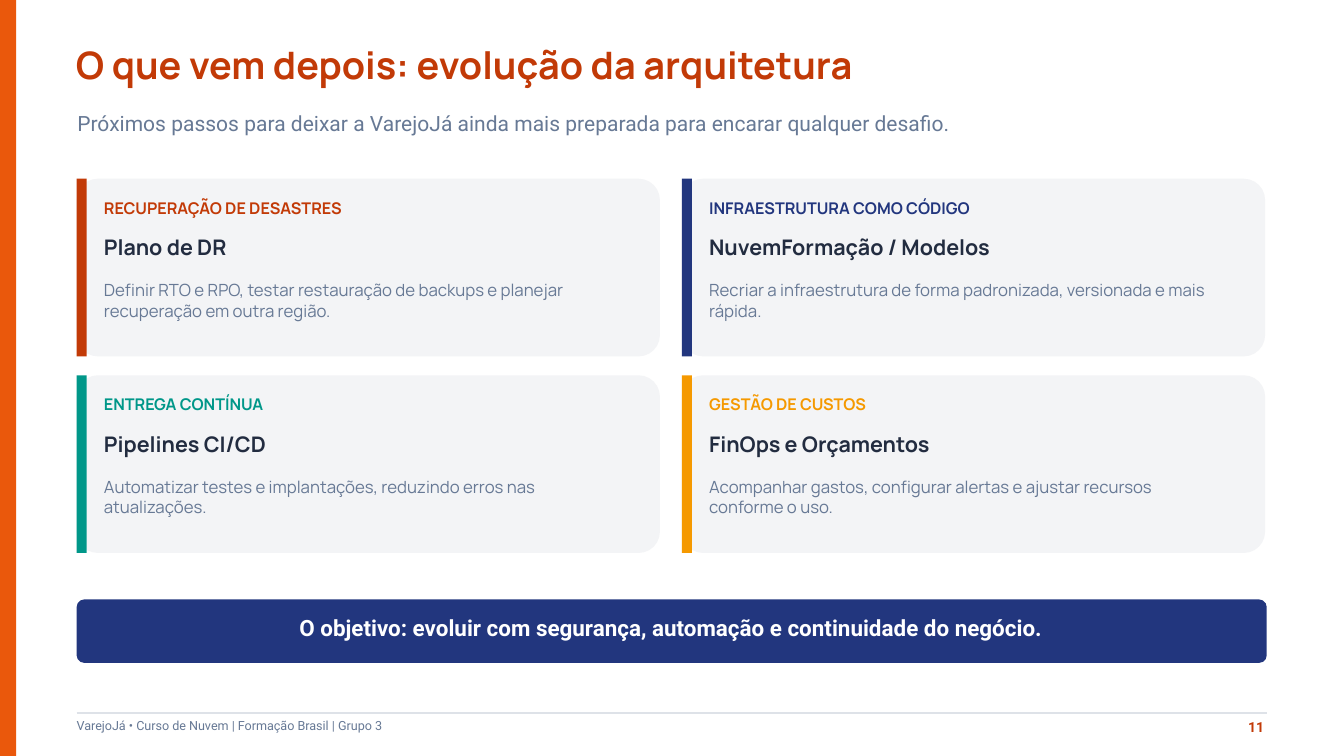
from dataclasses import dataclass

from lxml.etree import SubElement
from pptx import Presentation
from pptx.dml.color import RGBColor
from pptx.enum.shapes import MSO_CONNECTOR as Connector, MSO_SHAPE as Shape
from pptx.enum.text import MSO_AUTO_SIZE as AutoSize, PP_ALIGN as Align
from pptx.oxml.ns import qn
from pptx.util import Inches, Pt

SLIDE_W, SLIDE_H = Inches(20), Inches(11.25)


@dataclass(frozen=True)
class Style:
    font: str
    size: float
    color: str
    bold: bool = False


class Theme:
    orange, rust, navy = "EA580C", "C23A07", "22367E"
    teal, amber = "009789", "F59900"
    ink, slate, panel, rule, white = "222C40", "677995", "F3F4F6", "DEE2E8", "FFFFFF"
    heading, body = "Manrope", "Roboto"
    corner = 0.12
    leading = 1.2

    title = Style(heading, 40.5, rust, True)
    subtitle = Style(body, 22.5, slate)
    card_title = Style(heading, 23, ink, True)
    card_text = Style(heading, 18, slate)
    goal = Style(body, 24, white, True)
    footer = Style(body, 13.5, slate)
    page = Style(body, 15, rust, True)

    @classmethod
    def category(cls, color):
        return Style(cls.heading, 17.3, color, True)


# All lengths below are percentages of the slide's width and height.
MARGIN, CONTENT_W = 5.7, 88.55
CARD_TOP, CARD_W, CARD_H = 23.64, 43.4, 23.5
COLUMN_STEP, ROW_STEP = 45.03, 26
STRIPE_W, CARD_INSET = 0.75, 2.03

CARDS = [
    (Theme.rust, "RECUPERAÇÃO DE DESASTRES", "Plano de DR",
     "Definir RTO e RPO, testar restauração de backups e planejar "
     "recuperação em outra região."),
    (Theme.navy, "INFRAESTRUTURA COMO CÓDIGO", "NuvemFormação / Modelos",
     "Recriar a infraestrutura de forma padronizada, versionada e mais rápida."),
    (Theme.teal, "ENTREGA CONTÍNUA", "Pipelines CI/CD",
     "Automatizar testes e implantações, reduzindo erros nas atualizações."),
    (Theme.amber, "GESTÃO DE CUSTOS", "FinOps e Orçamentos",
     "Acompanhar gastos, configurar alertas e ajustar recursos conforme o uso."),
]


def across(percent):
    return round(SLIDE_W * percent / 100)


def down(percent):
    return round(SLIDE_H * percent / 100)


def frame(left, top, width, height):
    return across(left), down(top), across(width), down(height)


def add_block(slide, box, color, rounded=False):
    kind = Shape.ROUNDED_RECTANGLE if rounded else Shape.RECTANGLE
    block = slide.shapes.add_shape(kind, *frame(*box))
    if rounded:
        block.adjustments[0] = Theme.corner
    block.shadow.inherit = False
    block.fill.solid()
    block.fill.fore_color.rgb = RGBColor.from_string(color)
    block.line.fill.background()


def add_text(slide, box, text, style, align=Align.LEFT):
    frame_text = slide.shapes.add_textbox(*frame(*box)).text_frame
    frame_text.word_wrap = True
    frame_text.auto_size = AutoSize.SHAPE_TO_FIT_TEXT
    frame_text.margin_left = frame_text.margin_right = 0
    frame_text.margin_top = frame_text.margin_bottom = 0
    paragraph = frame_text.paragraphs[0]
    paragraph.alignment = align
    paragraph.line_spacing = Pt(style.size * Theme.leading)
    run = paragraph.add_run()
    run.text = text
    run.font.name = style.font
    run.font.size = Pt(style.size)
    run.font.bold = style.bold
    run.font.color.rgb = RGBColor.from_string(style.color)


def add_rule(slide, top):
    y = down(top)
    rule = slide.shapes.add_connector(
        Connector.STRAIGHT, across(MARGIN), y, across(MARGIN + CONTENT_W), y)
    rule.line.color.rgb = RGBColor.from_string(Theme.rule)
    rule.line.width = Pt(1.2)
    SubElement(rule._element.spPr, qn("a:effectLst"))


def add_card(slide, index, color, category, title, text):
    row, column = divmod(index, 2)
    left = MARGIN + column * COLUMN_STEP
    top = CARD_TOP + row * ROW_STEP
    add_block(slide, (left, top, CARD_W, CARD_H), Theme.panel, rounded=True)
    add_block(slide, (left, top, STRIPE_W, CARD_H), color)
    lines = [
        (2.58, 38.9, 2.58, category, Theme.category(color)),
        (7.32, 38.75, 3.47, title, Theme.card_title),
        (13.42, 38.45, 5.33, text, Theme.card_text),
    ]
    for offset, width, height, words, style in lines:
        add_text(slide, (left + CARD_INSET, top + offset, width, height), words, style)


def add_header(slide):
    add_text(slide, (5.65, 5.51, 89.3, 6.31),
             "O que vem depois: evolução da arquitetura", Theme.title)
    add_text(slide, (5.75, 14.67, CONTENT_W, 3.38),
             "Próximos passos para deixar a VarejoJá ainda mais preparada "
             "para encarar qualquer desafio.", Theme.subtitle)


def add_goal(slide):
    add_block(slide, (MARGIN, 79.29, CONTENT_W, 8.4), Theme.navy, rounded=True)
    add_text(slide, (7.65, 81.24, 84.5, 3.56),
             "O objetivo: evoluir com segurança, automação e continuidade do negócio.",
             Theme.goal, Align.CENTER)


def add_footer(slide):
    add_rule(slide, 94.31)
    add_text(slide, (MARGIN, 95.02, 67.55, 2.76),
             "VarejoJá • Curso de Nuvem | Formação Brasil | Grupo 3", Theme.footer)
    add_text(slide, (90.45, 95.02, 3.6, 2.67), "11", Theme.page, Align.RIGHT)


def main():
    deck = Presentation()
    deck.slide_width, deck.slide_height = SLIDE_W, SLIDE_H
    slide = deck.slides.add_slide(deck.slide_layouts[6])
    add_block(slide, (0, 0, 1.2, 100), Theme.orange)
    add_header(slide)
    add_footer(slide)
    for index, card in enumerate(CARDS):
        add_card(slide, index, *card)
    add_goal(slide)
    deck.save("out.pptx")


if __name__ == "__main__":
    main()
